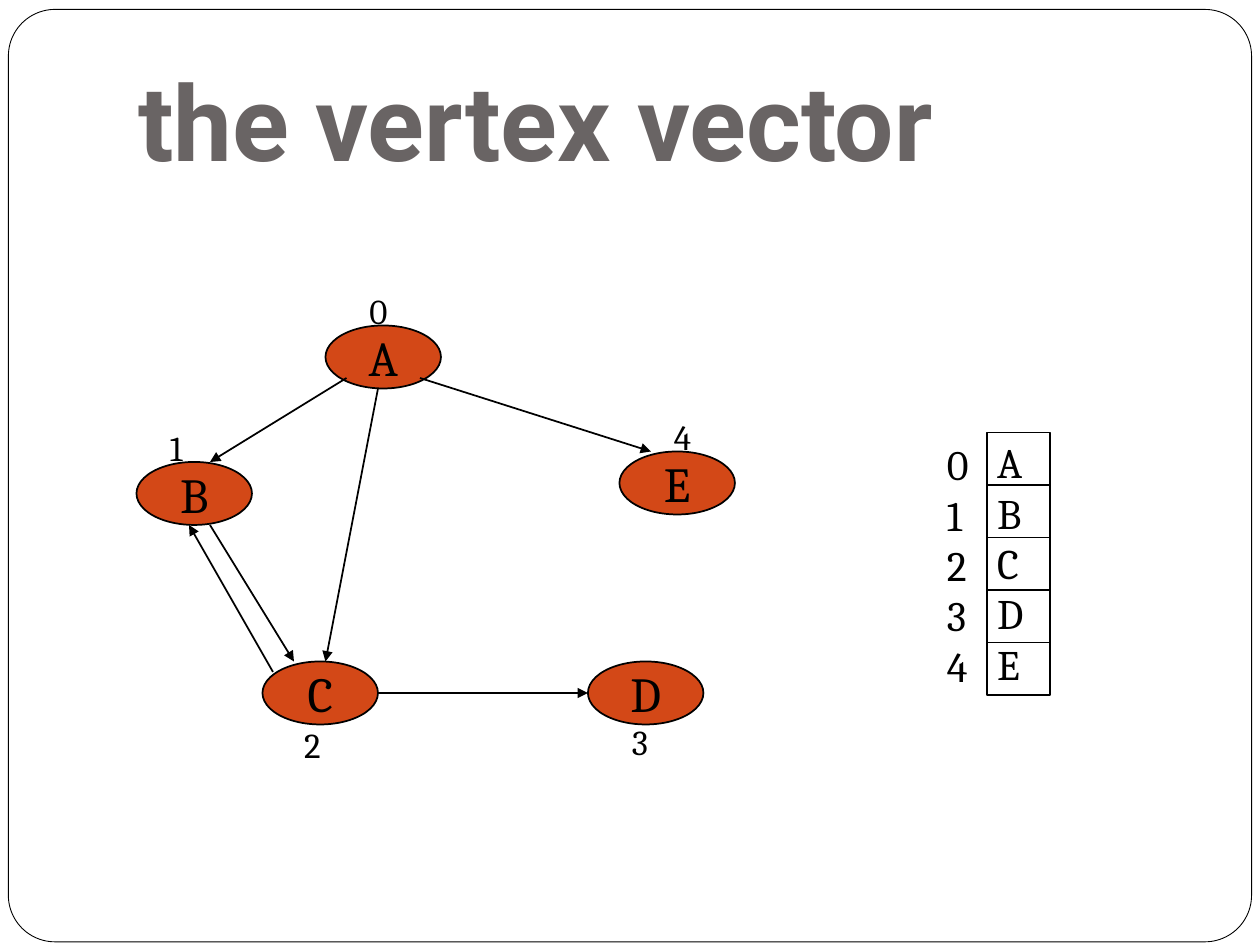
from lxml.etree import SubElement
from pptx import Presentation
from pptx.dml.color import RGBColor
from pptx.enum.shapes import MSO_CONNECTOR, MSO_SHAPE
from pptx.enum.text import MSO_ANCHOR, PP_ALIGN
from pptx.oxml.ns import qn
from pptx.util import Emu, Pt

PX = 7620  # EMU in one px, 120 px to the inch
BLACK = RGBColor(0x00, 0x00, 0x00)
WHITE = RGBColor(0xFF, 0xFF, 0xFF)
GRAY = RGBColor(0x69, 0x64, 0x64)
ORANGE = RGBColor(0xD3, 0x48, 0x17)

TITLE_FONT = {"name": "Roboto", "size": Pt(60), "bold": True}
VERTEX_FONT = {"name": "Cambria", "size": Pt(28)}
INDEX_FONT = {"name": "Cambria", "size": Pt(20)}
VECTOR_FONT = {"name": "Cambria", "size": Pt(24)}

VERTEX_SIZE = (110, 60)
INDEX_SIZE = (41, 52)
# Vertex name, its corner and the corner of its index, from the graph's corner
VERTICES = [
    ("A", (180, 40), (210, 0)),
    ("B", (0, 170), (20, 130)),
    ("C", (120, 360), (148, 413)),
    ("D", (430, 360), (460, 410)),
    ("E", (460, 160), (500, 120)),
]
EDGES = [
    ((200, 90), (70, 170)),
    ((270, 90), (490, 160)),
    ((230, 100), (180, 360)),
    ((230, 390), (430, 390)),
    ((70, 230), (150, 360)),
    ((130, 370), (50, 230)),
]


def px(*lengths):
    return [Emu(length * PX) for length in lengths]


def write(frame, lines, font, color=BLACK, align=PP_ALIGN.LEFT):
    """Put each line in a paragraph of its own."""
    for number, line in enumerate(lines):
        para = frame.add_paragraph() if number else frame.paragraphs[0]
        para.alignment = align
        span = para.add_run()
        span.text = line
        for name, value in font.items():
            setattr(span.font, name, value)
        span.font.color.rgb = color


def add_text(shapes, box, lines, font, color=BLACK, wrap=False):
    text_box = shapes.add_textbox(*px(*box))
    text_box.text_frame.word_wrap = wrap
    write(text_box.text_frame, lines, font, color)
    return text_box


def add_outline(shapes, kind, box, fill=None, width=1):
    shape = shapes.add_shape(kind, *px(*box))
    shape.shadow.inherit = False
    if fill is None:
        shape.fill.background()
    else:
        shape.fill.solid()
        shape.fill.fore_color.rgb = fill
    shape.line.color.rgb = BLACK
    shape.line.width = Pt(width)
    return shape


def add_line(shapes, start, end, arrow=False):
    line = shapes.add_connector(MSO_CONNECTOR.STRAIGHT, *px(*start, *end))
    line.line.color.rgb = BLACK
    line.line.width = Pt(1)
    properties = line._element.spPr
    if arrow:
        SubElement(properties.find(qn("a:ln")), qn("a:tailEnd"), type="triangle")
    SubElement(properties, qn("a:effectLst"))


def add_frame(shapes, box):
    frame = add_outline(shapes, MSO_SHAPE.ROUNDED_RECTANGLE, box, WHITE, 0.5)
    frame.adjustments[0] = 0.05


def add_title(shapes, box):
    title = add_text(shapes, box, ["the vertex vector"], TITLE_FONT, GRAY, True)
    title.text_frame.vertical_anchor = MSO_ANCHOR.BOTTOM
    title.text_frame.margin_bottom = Emu(12 * PX)


def add_graph(shapes, left, top):
    """Draw the vertices, the directed edges and the vertex indexes."""
    def place(point):
        return left + point[0], top + point[1]

    for name, corner, _ in VERTICES:
        vertex = add_outline(
            shapes, MSO_SHAPE.OVAL, (*place(corner), *VERTEX_SIZE), ORANGE
        )
        vertex.text_frame.word_wrap = False
        vertex.text_frame.vertical_anchor = MSO_ANCHOR.MIDDLE
        write(vertex.text_frame, [name], VERTEX_FONT, align=PP_ALIGN.CENTER)
    for start, end in EDGES:
        add_line(shapes, place(start), place(end), arrow=True)
    for index, (_, _, corner) in enumerate(VERTICES):
        add_text(shapes, (*place(corner), *INDEX_SIZE), [str(index)], INDEX_FONT)


def add_vector(shapes, left, top):
    """Draw the column of cells with its indexes on the left."""
    names = [name for name, _, _ in VERTICES]
    indexes = [str(index) for index in range(len(names))]
    cell_left, cell_top, cell_width, cell_height = left + 50, top + 2, 60, 50
    add_text(shapes, (left, top + 2, 44, 252), indexes, VECTOR_FONT)
    add_text(shapes, (left + 48, top, 55, 252), names, VECTOR_FONT)
    add_outline(
        shapes, MSO_SHAPE.RECTANGLE,
        (cell_left, cell_top, cell_width, cell_height * len(names)),
    )
    for row in range(1, len(names) + 1):
        y = cell_top + row * cell_height
        add_line(shapes, (cell_left, y), (cell_left + cell_width, y))


def main():
    deck = Presentation()
    deck.slide_width, deck.slide_height = px(1200, 900)
    page = deck.slides.add_slide(deck.slide_layouts[6])
    page.background.fill.solid()
    page.background.fill.fore_color.rgb = WHITE
    add_frame(page.shapes, (8, 9, 1184, 888))
    add_title(page.shapes, (120, 36, 1020, 150))
    add_graph(page.shapes.add_group_shape().shapes, 130, 270)
    add_vector(page.shapes.add_group_shape().shapes, 890, 410)
    deck.save("out.pptx")


if __name__ == "__main__":
    main()
